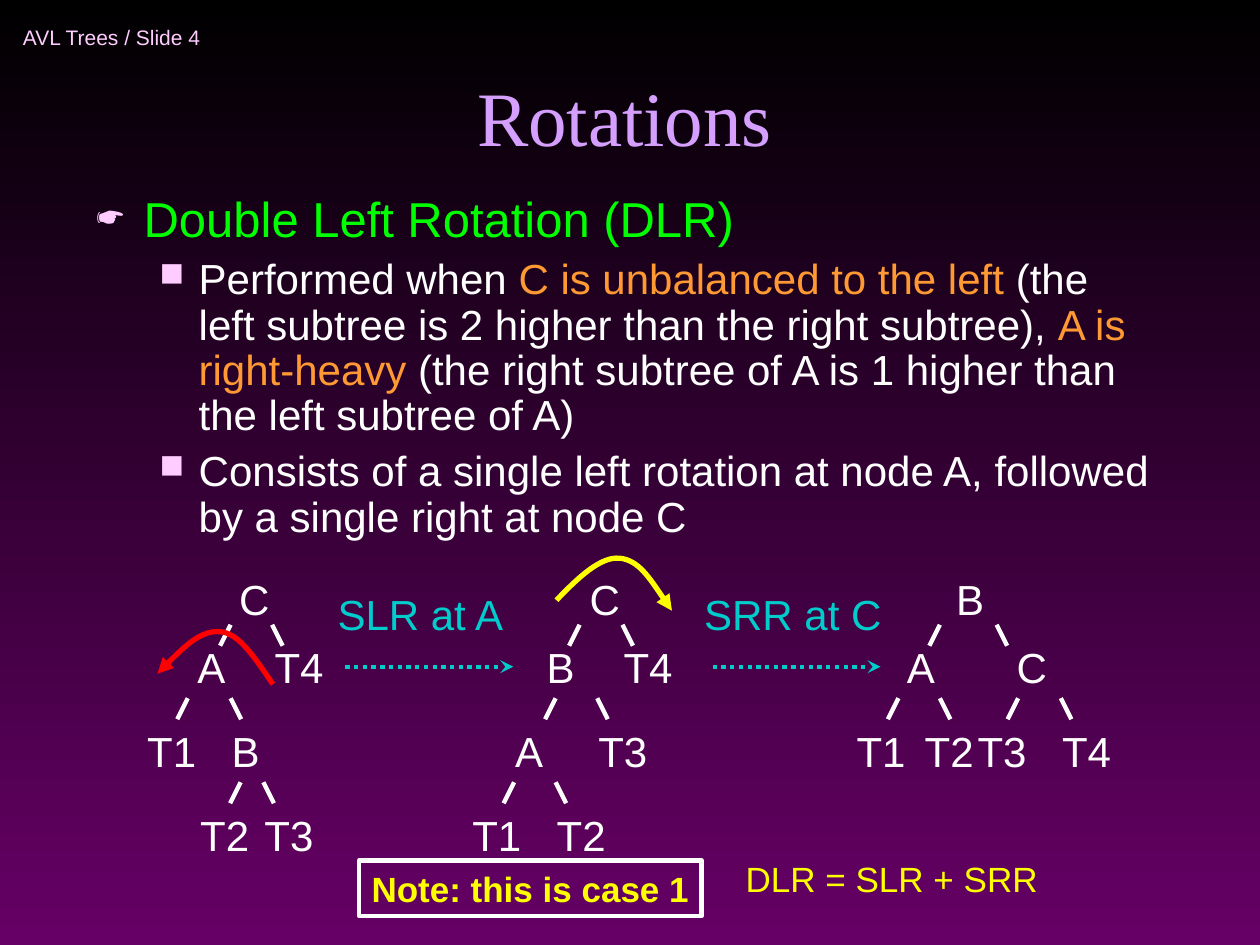
from dataclasses import dataclass
from typing import NamedTuple

from lxml import etree
from pptx import Presentation
from pptx.dml.color import RGBColor
from pptx.enum import dml, shapes, text
from pptx.oxml import ns
from pptx.util import Pt


@dataclass(frozen=True)
class Theme:
    """Colours, fonts and type sizes of the slide."""
    sans: str = "Arial"
    serif: str = "Times New Roman"
    top: str = "000000"
    base: str = "660066"
    pink: str = "FFCCFF"
    lilac: str = "D49FFF"
    green: str = "00FF00"
    orange: str = "FF9933"
    white: str = "FFFFFF"
    teal: str = "00CCCC"
    red: str = "FF0000"
    yellow: str = "FFFF00"
    small: int = 12
    note: int = 20
    text: int = 24
    lead: int = 28
    title: int = 44
    thin: float = 2.5
    thick: float = 3


class Box(NamedTuple):
    """Position and size in points."""
    x: float
    y: float
    w: float
    h: float


class Node(NamedTuple):
    """A tree label, its left edge and its level."""
    name: str
    x: float
    row: int


class Edge(NamedTuple):
    """A branch: upper end, level and side (-1 left, 1 right)."""
    x: float
    row: int
    side: int


class Step(NamedTuple):
    """A rotation with the left edge of its label and its arrow."""
    name: str
    x: float
    w: float
    start: float


class Item(NamedTuple):
    """A bullet with its look, indents and coloured runs."""
    mark: str
    scale: int
    left: float
    hang: float
    gap: float
    size: int
    runs: list[tuple[str, str]]


T = Theme()
ROWS = [324, 363, 411, 459]
FORKS = [357, 399, 447]
WIDTHS = {"A": 30, "B": 30, "C": 32}
NODES = [
    Node("C", 129.6, 0), Node("A", 105.8, 1), Node("T4", 149.8, 1), Node("T1", 77, 2),
    Node("B", 125.3, 2), Node("T2", 107.3, 3), Node("T3", 144, 3),
    Node("C", 329.8, 0), Node("B", 305.3, 1), Node("T4", 349.2, 1), Node("A", 287.3, 2),
    Node("T3", 334.8, 2), Node("T1", 262.8, 3), Node("T2", 311, 3),
    Node("B", 539.3, 0), Node("A", 511.2, 1), Node("C", 573.8, 1), Node("T1", 482.4, 2),
    Node("T2", 521.3, 2), Node("T3", 551.5, 2), Node("T4", 599.8, 2),
]
EDGES = [
    Edge(131.8, 0, -1), Edge(155.5, 0, 1), Edge(107.3, 1, -1),
    Edge(131.8, 1, 1), Edge(137.5, 2, -1), Edge(150.5, 2, 1),
    Edge(331.2, 0, -1), Edge(355.7, 0, 1), Edge(317.5, 1, -1),
    Edge(341.3, 1, 1), Edge(293.8, 2, -1), Edge(317.5, 2, 1),
    Edge(537.1, 0, -1), Edge(569.5, 0, 1), Edge(513.4, 1, -1),
    Edge(537.1, 1, 1), Edge(581.8, 1, -1), Edge(606.2, 1, 1),
]
STEPS = [Step("SLR at A", 185.8, 110, 197.3), Step("SRR at C", 395.3, 116, 407.2)]
ARC = [(156, 391), (146, 376.5), (137, 362), (126, 361), (115, 360), (102, 372.5), (90, 385)]
ITEMS = [
    Item("☛", 75, 27, 27, 7, T.lead, [("Double Left Rotation (DLR)", T.green)]),
    Item("■", 80, 58.5, 22.5, 6, T.text, [
        ("Performed when ", T.white),
        ("C is unbalanced to the left", T.orange),
        (" (the left subtree is 2 higher than the right subtree), ", T.white),
        ("A is right-heavy", T.orange),
        (" (the right subtree of A is 1 higher than the left subtree of A)", T.white)]),
    Item("■", 80, 58.5, 22.5, 6, T.text, [
        ("Consists of a single left rotation at node A, "
         "followed by a single right at node C", T.white)]),
]


def place(shape, box: Box) -> None:
    """Move and size a shape."""
    shape.left, shape.top, shape.width, shape.height = map(Pt, box)


def style(run, size: float, hue: str, face: str = T.sans) -> None:
    """Format one run."""
    run.font.size, run.font.name = Pt(size), face
    run.font.color.rgb = RGBColor.from_string(hue)


def write(shape, words: str, size: float, hue: str, gap: float = 0) -> None:
    """Set one unwrapped line of left-aligned text."""
    frame = shape.text_frame
    frame.text, frame.word_wrap = words, False
    para = frame.paragraphs[0]
    para.alignment, para.space_before = text.PP_ALIGN.LEFT, Pt(gap)
    style(para.runs[0], size, hue)


def label(slide, words: str, box: Box, size: float, hue: str, gap: float = 6):
    """Add a text box with one line."""
    shape = slide.shapes.add_textbox(*map(Pt, box))
    write(shape, words, size, hue, gap)
    return shape


def paint(shape, hue: str, width: float, end: str = "", kind: str = "") -> None:
    """Set a line and its arrowhead."""
    shape.line.color.rgb = RGBColor.from_string(hue)
    shape.line.width = Pt(width)
    if end:
        etree.SubElement(shape.line._get_or_add_ln(), ns.qn(f"a:{end}"), type=kind)


def link(slide, x: float, y: float, dx: float, dy: float, hue: str):
    """Draw a straight line without shadow."""
    line = slide.shapes.add_connector(
        shapes.MSO_CONNECTOR.STRAIGHT, Pt(x), Pt(y), Pt(x + dx), Pt(y + dy))
    paint(line, hue, T.thin)
    etree.SubElement(line._element.spPr, ns.qn("a:effectLst"))
    return line


def swing(slide, dx: float, dy: float, hue: str, end: str) -> None:
    """Draw the rotation arc as two cubic curves."""
    dots = [(Pt(x + dx), Pt(y + dy)) for x, y in ARC]
    pen = slide.shapes.build_freeform(*dots[0])
    pen.add_line_segments(dots[1:], close=False)
    arc = pen.convert_to_shape()
    legs = list(arc._element.iter(ns.qn("a:lnTo")))
    for i in range(0, len(legs), 3):
        curve = etree.SubElement(legs[i].getparent(), ns.qn("a:cubicBezTo"))
        for leg in legs[i:i + 3]:
            curve.append(leg[0])
            leg.getparent().remove(leg)
    arc.fill.background()
    arc.shadow.inherit = False
    paint(arc, hue, T.thick, end, "triangle")


def bullet(para, item: Item) -> None:
    """Fill a paragraph with a bulleted item."""
    para.line_spacing, para.space_before = 0.9, Pt(item.gap)
    props = para._p.get_or_add_pPr()
    props.set("marL", str(Pt(item.left)))
    props.set("indent", str(-Pt(item.hang)))
    tint = etree.SubElement(props, ns.qn("a:buClr"))
    etree.SubElement(tint, ns.qn("a:srgbClr"), val=T.pink)
    etree.SubElement(props, ns.qn("a:buSzPct"), val=str(item.scale * 1000))
    etree.SubElement(props, ns.qn("a:buChar"), char=item.mark)
    for words, hue in item.runs:
        run = para.add_run()
        run.text = words
        style(run, item.size, hue)


def main() -> None:
    """Build and save the slide."""
    deck = Presentation()
    deck.slide_width, deck.slide_height = Pt(720), Pt(540)
    slide = deck.slides.add_slide(deck.slide_layouts[5])
    back = slide.background.fill
    back.gradient()
    back.gradient_angle = 270
    for stop, hue, at in zip(back.gradient_stops, (T.top, T.base), (0, 1)):
        stop.color.rgb, stop.position = RGBColor.from_string(hue), at

    head = label(slide, "AVL Trees / Slide 4", Box(6, 6, 198, 30), T.small, T.pink, 0)
    head.text_frame.vertical_anchor = text.MSO_ANCHOR.MIDDLE
    title = slide.shapes.title
    place(title, Box(48, 6, 618, 90))
    frame = title.text_frame
    frame.text, frame.auto_size = "Rotations", text.MSO_AUTO_SIZE.NONE
    frame.vertical_anchor = text.MSO_ANCHOR.BOTTOM
    frame.paragraphs[0].alignment = text.PP_ALIGN.CENTER
    style(frame.paragraphs[0].runs[0], T.title, T.lilac, T.serif)

    body = slide.shapes.add_textbox(*map(Pt, Box(48, 108, 618, 216))).text_frame
    body.word_wrap = True
    for i, item in enumerate(ITEMS):
        bullet(body.add_paragraph() if i else body.paragraphs[0], item)

    for edge in EDGES:
        link(slide, edge.x, FORKS[edge.row], 6 * edge.side, 12, T.white)
    for node in NODES:
        box = Box(node.x, ROWS[node.row], WIDTHS.get(node.name, 42.5), 36)
        label(slide, node.name, box, T.text, T.white)
    for step in STEPS:
        label(slide, step.name, Box(step.x, 332.6, step.w, 36), T.text, T.teal)
        line = link(slide, step.start, 381, 96, 0, T.teal)
        line.line.dash_style = dml.MSO_LINE.ROUND_DOT
        paint(line, T.teal, T.thin, "tailEnd", "stealth")

    label(slide, "DLR = SLR + SRR", Box(419, 486.7, 181.4, 31.7), T.note, T.yellow, 5)
    swing(slide, 0, 0, T.red, "tailEnd")
    swing(slide, 228, -42, T.yellow, "headEnd")
    note = slide.shapes.add_shape(
        shapes.MSO_SHAPE.RECTANGLE, *map(Pt, Box(205.2, 491.8, 195.8, 31.7)))
    note.fill.background()
    note.shadow.inherit = False
    paint(note, T.white, T.thin)
    write(note, "Note: this is case 1", T.note, T.yellow, 5)
    note.text_frame.paragraphs[0].runs[0].font.bold = True
    deck.save("out.pptx")


if __name__ == "__main__":
    main()
